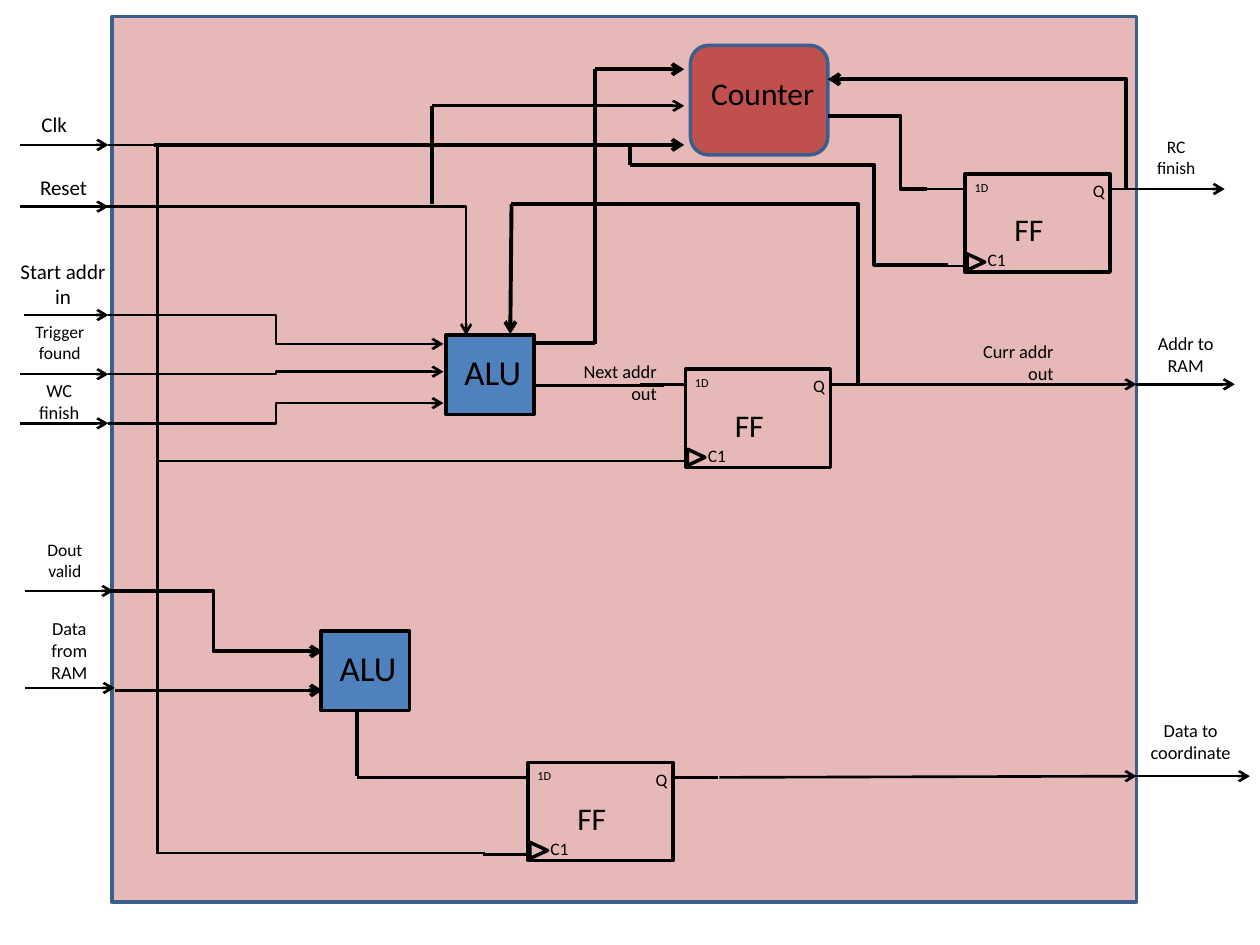
import pptx
import pptx.dml.color
import pptx.enum.shapes
import pptx.enum.text
import pptx.util
from lxml import etree
from pptx.oxml.ns import qn

SHAPE = pptx.enum.shapes.MSO_SHAPE
LINE = pptx.enum.shapes.MSO_CONNECTOR
ALIGN = pptx.enum.text.PP_ALIGN
FONT, BLACK, BLUE, EDGE = "Calibri", "000000", "4F81BD", "3A5F8C"
THIN, THICK = 1.5, 2.25
LEFT_EDGE, RIGHT_EDGE, CLOCK_X = 0.86, 9.02, 1.25
ALU_INPUT_X, COUNTER_INPUT_X = 3.52, 5.43

FRAME = (0.89, 0.13, 8.13, 7.03)
COUNTER = (5.48, 0.36, 1.09, 0.87)
ALUS = [(3.54, 2.66), (2.55, 5.01)]
ALU_SIZE = (0.7, 0.63)
FLIP_FLOPS = [(5.44, 2.93), (4.19, 6.05), (7.66, 1.38)]
FF_SIZE = (1.15, 0.78)
FF_STUBS = [(-0.36, 0, 0.73), (-0.36, 0, 0.12), (1.15, 1.51, 0.12)]
FF_LABELS = [
    ("FF", (0.26, 0.24, 0.46, 0.4), 18, "r"),
    ("C1", (0.03, 0.55, 0.44, 0.27), 10, "c"),
    ("1D", (-0.08, 0, 0.42, 0.22), 7, "c"),
    ("Q", (0.91, 0, 0.3, 0.21), 10, "c"),
]
LABELS = [
    ("Clk", (0.16, 0.84, 0.47, 0.3), 12, "r"),
    ("Reset", (0.16, 1.34, 0.63, 0.3), 12, "r"),
    ("Start addr in", (0.06, 2, 0.88, 0.5), 12, "c"),
    ("Trigger found", (0.16, 2.5, 0.63, 0.44), 10, "c"),
    ("WC finish", (0.12, 2.96, 0.7, 0.45), 10.5, "c"),
    ("Dout valid", (0.2, 4.23, 0.63, 0.44), 10, "c"),
    ("Data from RAM", (0.16, 4.85, 0.78, 0.63), 10.5, "c"),
    ("RC finish", (9.02, 1.03, 0.63, 0.44), 10, "c"),
    ("Addr to RAM", (8.94, 2.59, 0.94, 0.45), 10.5, "c"),
    ("Data to coordinate", (9.02, 5.66, 0.86, 0.45), 10.5, "c"),
    ("Curr addr out", (7.52, 2.65, 0.94, 0.45), 10.5, "r"),
    ("Next addr out", (4.37, 2.81, 0.94, 0.45), 10.5, "r"),
    ("Counter", (5.39, 0.54, 1.17, 0.45), 18, "r"),
]
PORTS = [
    (0.16, LEFT_EDGE, 1.15), (0.16, LEFT_EDGE, 1.64), (0.19, LEFT_EDGE, 2.5),
    (0.16, LEFT_EDGE, 2.97), (0.16, LEFT_EDGE, 3.36), (0.2, 0.9, 4.69),
    (0.2, 0.91, 5.46), (RIGHT_EDGE, 9.72, 1.5), (RIGHT_EDGE, 9.8, 3.05),
    (8.98, 9.92, 6.16),
]
WIRES = [
    (LEFT_EDGE, 1.15, CLOCK_X, 1.15, THIN, False),
    (CLOCK_X, 1.15, CLOCK_X, 6.78, THIN, False),
    (CLOCK_X, 3.66, 5.08, 3.66, THIN, False),
    (CLOCK_X, 6.77, 3.85, 6.77, THIN, False),
    (1.22, 1.15, COUNTER_INPUT_X, 1.15, THICK, True),
    (5, 1.31, 5, 1.15, THICK, False),
    (3.43, 1.62, 3.43, 0.84, THICK, False),
    (3.43, 0.84, COUNTER_INPUT_X, 0.84, THIN, True),
    (4.25, 2.72, 4.72, 2.72, THICK, False),
    (4.72, 2.73, 4.72, 0.55, THICK, False),
    (4.72, 0.55, COUNTER_INPUT_X, 0.55, THICK, True),
    (5.27, 3.06, 4.25, 3.06, THIN, False),
    (6.93, 3.05, RIGHT_EDGE, 3.05, THIN, True),
    (4.06, 1.62, 4.05, 2.65, THICK, True),
    (0.91, 5.48, 2.56, 5.48, THICK, True),
    (2.83, 6.16, 2.83, 5.65, THICK, False),
    (2.83, 6.17, 4.13, 6.17, THIN, False),
    (5.71, 6.17, RIGHT_EDGE, 6.16, THIN, True),
]
ELBOWS = [
    (LEFT_EDGE, 2.5, ALU_INPUT_X, 2.73, THIN, True, 0.5),
    (LEFT_EDGE, 2.97, ALU_INPUT_X, 2.95, THIN, True, 0.5),
    (LEFT_EDGE, 3.36, ALU_INPUT_X, 3.2, THIN, True, 0.5),
    (0.67, 1.64, 3.7, 2.66, THIN, True, None),
    (0.83, 4.69, 2.56, 5.17, THICK, True, 0.5),
    (6.81, 3.04, 4.06, 1.62, THICK, False, 0),
    (5, 1.31, 7.52, 2.1, THICK, False, 0.77),
    (7.36, 1.5, 6.57, 0.92, THICK, False, 0.27),
    (8.94, 1.5, 6.57, 0.63, THICK, True, 0),
]


def inches(*values):
    """Convert numbers to slide lengths."""
    return [pptx.util.Inches(v) for v in values]


def rgb(value):
    """Turn a hex string into a colour."""
    return pptx.dml.color.RGBColor.from_string(value)


def add_block(s, kind, box, fill=None, edge=BLACK):
    """Draw an outlined preset shape, filled if a colour is given."""
    sp = s.shapes.add_shape(kind, *inches(*box))
    sp.shadow.inherit = False
    if fill:
        sp.fill.solid()
        sp.fill.fore_color.rgb = rgb(fill)
    else:
        sp.fill.background()
    sp.line.color.rgb = rgb(edge)
    sp.line.width = pptx.util.Pt(2)
    return sp


def add_label(s, text, box, size, align):
    """Write a wrapped text box."""
    tf = s.shapes.add_textbox(*inches(*box)).text_frame
    tf.word_wrap = True
    tf.auto_size = pptx.enum.text.MSO_AUTO_SIZE.SHAPE_TO_FIT_TEXT
    tf.text = text
    p = tf.paragraphs[0]
    p.alignment = ALIGN.RIGHT if align == "r" else ALIGN.CENTER
    r = p.runs[0]
    r.font.name = FONT
    r.font.size = pptx.util.Pt(size)
    r.font.color.rgb = rgb(BLACK)


def add_wire(s, x1, y1, x2, y2, width=THIN, arrow=False, kind=LINE.STRAIGHT):
    """Draw a black connector, with an arrowhead at its end if asked."""
    c = s.shapes.add_connector(kind, *inches(x1, y1, x2, y2))
    c.line.color.rgb = rgb(BLACK)
    c.line.width = pptx.util.Pt(width)
    if arrow:
        etree.SubElement(c.line._get_or_add_ln(), qn("a:tailEnd"), type="arrow")
    etree.SubElement(c._element.spPr, qn("a:effectLst"))
    return c


def add_elbow(s, x1, y1, x2, y2, width, arrow, bend):
    """Draw a bent connector; a bend of None makes a single corner."""
    c = add_wire(s, x1, y1, x2, y2, width, arrow, LINE.ELBOW)
    geom = c._element.spPr.find(qn("a:prstGeom"))
    if bend is None:
        geom.set("prst", "bentConnector2")
    else:
        etree.SubElement(geom.find(qn("a:avLst")), qn("a:gd"),
                         name="adj1", fmla=f"val {round(bend * 100000)}")


def add_flip_flop(s, x, y):
    """Draw a flip-flop with its clock mark, stubs and pin names."""
    add_block(s, SHAPE.RECTANGLE, (x, y, *FF_SIZE))
    mark = add_block(s, SHAPE.ISOSCELES_TRIANGLE, (x + 0.02, y + 0.63, 0.13, 0.14))
    mark.rotation = 90
    for start, end, dy in FF_STUBS:
        add_wire(s, x + start, y + dy, x + end, y + dy)
    for text, (dx, dy, w, h), size, align in FF_LABELS:
        add_label(s, text, (x + dx, y + dy, w, h), size, align)


def main():
    """Build the block diagram slide."""
    prs = pptx.Presentation()
    prs.slide_width, prs.slide_height = inches(10, 7.5)
    s = prs.slides.add_slide(prs.slide_layouts[6])
    add_block(s, SHAPE.RECTANGLE, FRAME, "E6B9B8", EDGE)
    add_block(s, SHAPE.ROUNDED_RECTANGLE, COUNTER, "C0504D", EDGE)
    for x, y in ALUS:
        add_block(s, SHAPE.RECTANGLE, (x, y, *ALU_SIZE), BLUE)
        add_label(s, "ALU", (x - 0.02, y + 0.07, 0.78, 0.44), 20, "c")
    for x, y in FLIP_FLOPS:
        add_flip_flop(s, x, y)
    for start, end, y in PORTS:
        add_wire(s, start, y, end, y, arrow=True)
    for wire in WIRES:
        add_wire(s, *wire)
    for elbow in ELBOWS:
        add_elbow(s, *elbow)
    for label in LABELS:
        add_label(s, *label)
    prs.save("out.pptx")


if __name__ == "__main__":
    main()
